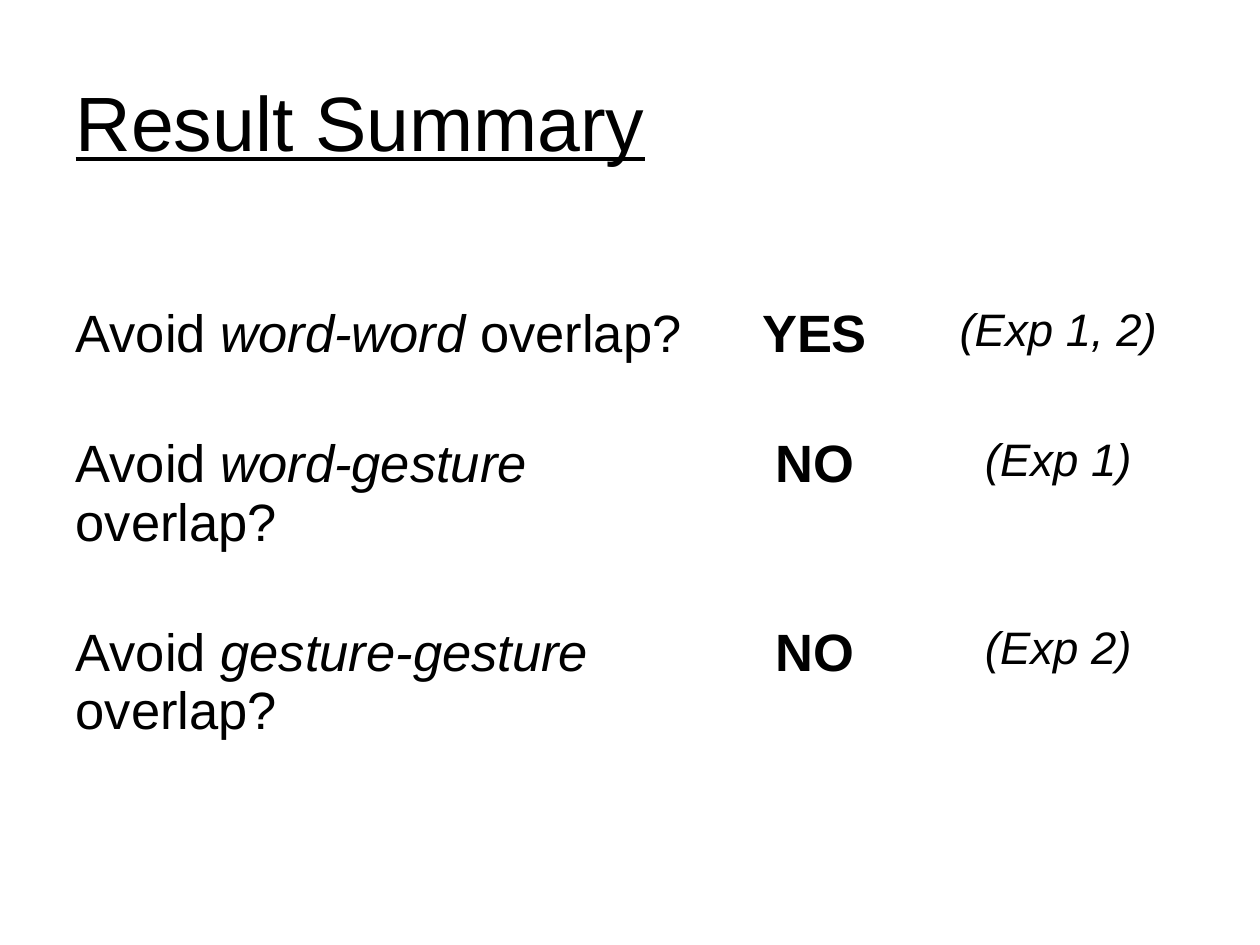
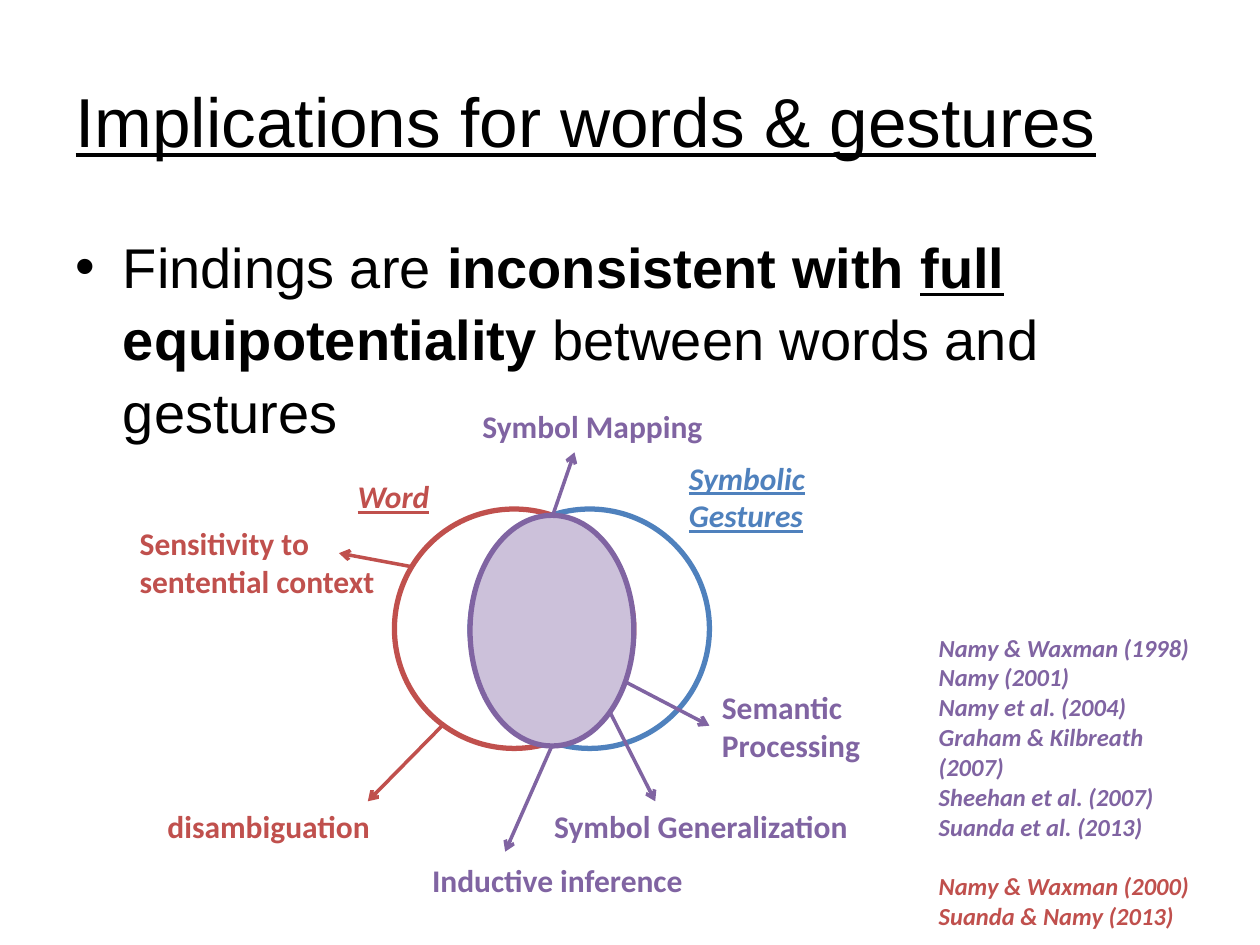
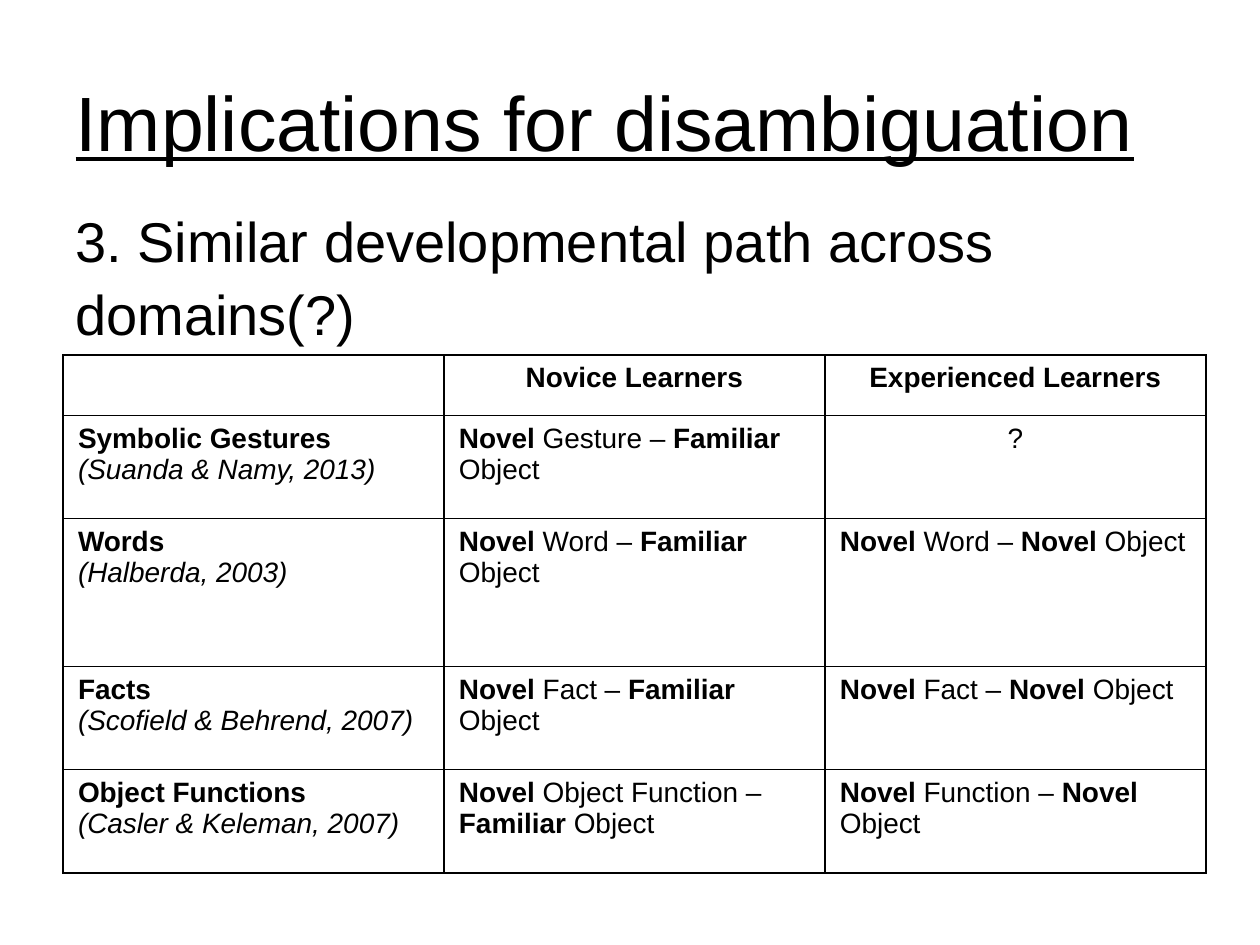
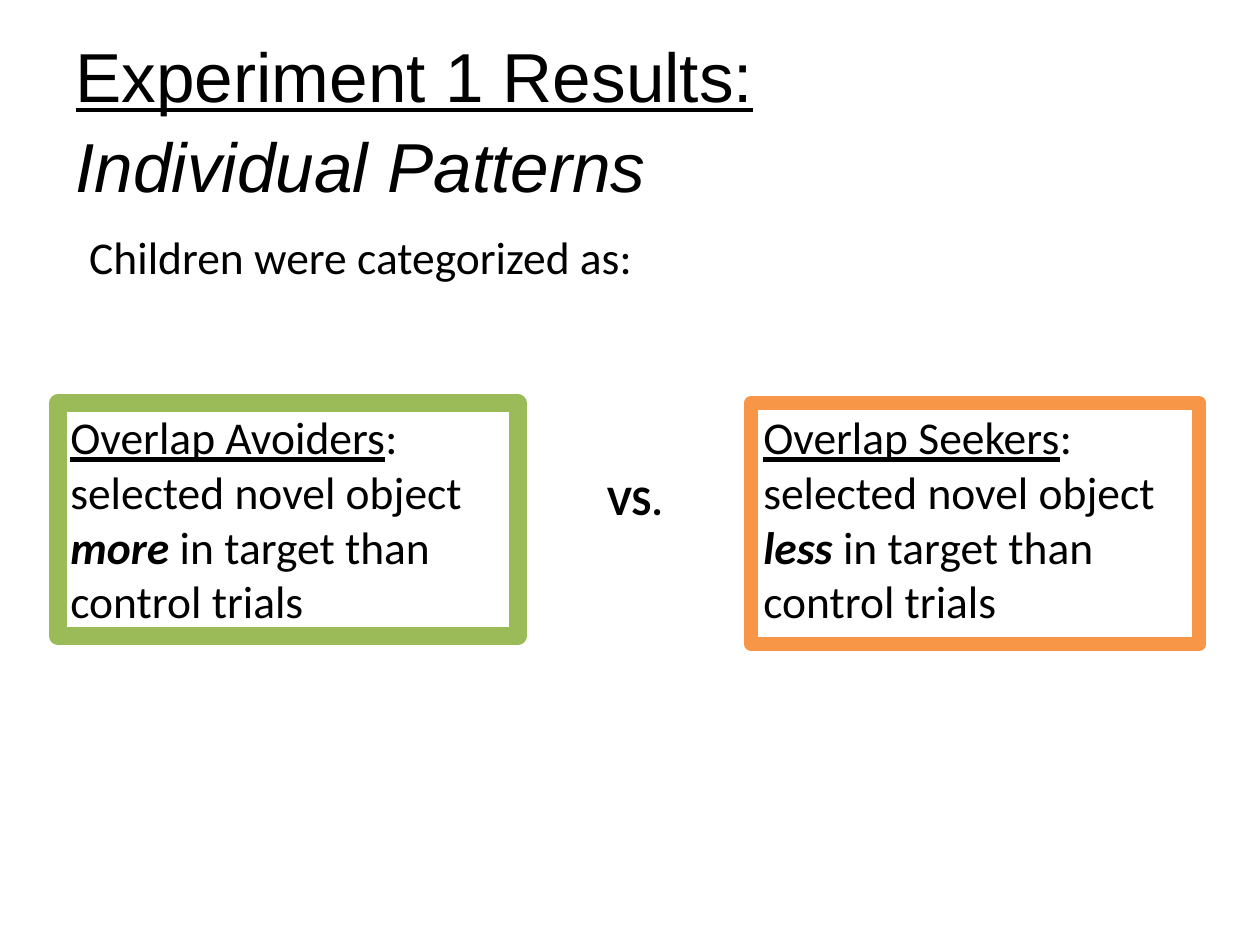
from lxml import etree
from pptx import Presentation
from pptx.dml.color import RGBColor
from pptx.enum import shapes, text
from pptx.oxml import ns
from pptx.util import Pt

BLACK = RGBColor(0x00, 0x00, 0x00)
RED = RGBColor(0xC0, 0x50, 0x4D)
BLUE = RGBColor(0x4F, 0x81, 0xBD)
PURPLE = RGBColor(0x80, 0x64, 0xA2)
LILAC = RGBColor(0xCC, 0xC1, 0xDA)
GREEN = RGBColor(0x9B, 0xBB, 0x59)
ORANGE = RGBColor(0xF7, 0x96, 0x46)

HEADING_FONT, LABEL_FONT = "Arial", "Calibri"
LEFT, CENTER = text.PP_ALIGN.LEFT, text.PP_ALIGN.CENTER
TITLE_BOX = (36, 21.6, 648, 90)
LOOSE = 1.08


def fill_paragraph(para, spans, font, size, color=BLACK, align=LEFT, spacing=None):
    """Write (text, marks) spans; marks are any of b, i and u."""
    para.alignment = align
    para.space_before = Pt(0)
    if spacing:
        para.line_spacing = spacing
    for words, marks in spans:
        if words == "\n":
            para.add_line_break()
            continue
        span = para.add_run()
        span.text = words
        span.font.name, span.font.size = font, Pt(size)
        span.font.color.rgb = color
        span.font.bold = "b" in marks
        span.font.italic = "i" in marks
        span.font.underline = "u" in marks


def place(shape, box):
    """Move a shape to a box given in points."""
    shape.left, shape.top, shape.width, shape.height = map(Pt, box)


def add_text(parent, box, spans, font, size, **style):
    """Add a wrapping text box with one paragraph."""
    shape = parent.add_textbox(*map(Pt, box))
    shape.text_frame.word_wrap = True
    fill_paragraph(shape.text_frame.paragraphs[0], spans, font, size, **style)
    return shape


def add_page(deck, layout, title, size=44):
    """Add a slide with the shared title style."""
    page = deck.slides.add_slide(deck.slide_layouts[layout])
    place(page.shapes.title, TITLE_BOX)
    frame = page.shapes.title.text_frame
    frame.vertical_anchor = text.MSO_ANCHOR.MIDDLE
    fill_paragraph(frame.paragraphs[0], title, HEADING_FONT, size, spacing=LOOSE)
    return page


def add_plain_table(page, box, widths, heights):
    """Add an unfilled table without header or band styling."""
    table = page.shapes.add_table(len(heights), len(widths), *map(Pt, box)).table
    table.first_row = table.horz_banding = False
    for column, width in zip(table.columns, widths):
        column.width = Pt(width)
    for row, height in zip(table.rows, heights):
        row.height = Pt(height)
    for cell in table.iter_cells():
        cell.fill.background()
    return table


def draw_borders(cell):
    """Give a cell thin black borders on all sides."""
    properties = cell._tc.get_or_add_tcPr()
    for index, side in enumerate(("lnL", "lnR", "lnT", "lnB")):
        line = etree.Element(ns.qn("a:" + side), w=str(Pt(1)))
        fill = etree.SubElement(line, ns.qn("a:solidFill"))
        etree.SubElement(fill, ns.qn("a:srgbClr"), val=str(BLACK))
        properties.insert(index, line)


def add_arrow(parent, origin, start, end, color):
    """Draw an open-headed arrow between two points relative to the origin."""
    left, top = origin
    arrow = parent.add_connector(
        shapes.MSO_CONNECTOR.STRAIGHT,
        Pt(left + start[0]), Pt(top + start[1]), Pt(left + end[0]), Pt(top + end[1]))
    arrow.line.color.rgb, arrow.line.width = color, Pt(2)
    etree.SubElement(arrow.line._get_or_add_ln(), ns.qn("a:tailEnd"), type="arrow")
    etree.SubElement(arrow._element.spPr, ns.qn("a:effectLst"))


def add_ellipse(parent, box, color, fill=None):
    """Draw an outlined ellipse, filled if a fill colour is given."""
    ellipse = parent.add_shape(shapes.MSO_SHAPE.OVAL, *map(Pt, box))
    ellipse.shadow.inherit = False
    ellipse.line.color.rgb, ellipse.line.width = color, Pt(3)
    if fill is None:
        ellipse.fill.background()
    else:
        ellipse.fill.solid()
        ellipse.fill.fore_color.rgb = fill


def add_overlap_diagram(page, origin):
    """Draw the two overlapping domains with their labelled arrows."""
    left, top = origin
    group = page.shapes.add_group_shape().shapes
    circle_top, circle = 62.9, 136.8
    for circle_left, color in ((153.4, RED), (196.6, BLUE)):
        add_ellipse(group, (left + circle_left, top + circle_top, circle, circle), color)
    add_ellipse(group, (left + 196.6, top + 66.5, 93.6, 131.8), PURPLE, LILAC)

    arrows = [
        ((244.1, 65.8), (256.3, 30.5), PURPLE),
        ((276.5, 178.8), (302.4, 229.9), PURPLE),
        ((243.4, 198.2), (216.7, 258.7), PURPLE),
        ((285.1, 161.5), (333.4, 186.7), PURPLE),
        ((164.2, 96), (121.7, 88.1), RED),
        ((180.7, 186.7), (138.2, 229.9), RED),
    ]
    for start, end, color in arrows:
        add_arrow(group, origin, start, end, color)

    one_line, two_lines = 28.8, 51.1
    labels = [
        ("Word", "biu", RED, (125.3, 41.3, 91.4, one_line)),
        ("Symbolic Gestures", "biu", BLUE, (314.6, 30.5, 90.7, two_lines)),
        ("disambiguation", "b", RED, (16.6, 229.9, 164.9, one_line)),
        ("Sensitivity to sentential context", "b", RED, (0.7, 67.9, 180.7, two_lines)),
        ("Symbol Mapping", "b", PURPLE, (196.6, 1, 153.4, one_line)),
        ("Inductive inference", "b", PURPLE, (167.8, 260.2, 195.8, one_line)),
        ("Symbol Generalization", "b", PURPLE, (237.6, 229.9, 195.8, one_line)),
        ("Semantic Processing", "b", PURPLE, (333.4, 161.5, 100.1, two_lines)),
    ]
    for words, marks, color, (x, y, width, height) in labels:
        add_text(group, (left + x, top + y, width, height), [(words, marks)],
                 LABEL_FONT, 18, color=color)


def add_references(page, box):
    """List the supporting studies, shared findings first."""
    studies = [
        (PURPLE, ["Namy & Waxman (1998)", "Namy (2001)", "Namy et al. (2004)",
                  "Graham & Kilbreath (2007)", "Sheehan et al. (2007)",
                  "Suanda et al. (2013)"]),
        (RED, ["Namy & Waxman (2000)", "Suanda & Namy (2013)"]),
    ]
    frame = add_plain_table(page, box, [box[2]], [box[3]]).cell(0, 0).text_frame
    para = frame.paragraphs[0]
    for color, names in studies:
        for name in names:
            if para.runs:
                para = frame.add_paragraph()
            fill_paragraph(para, [(name, "bi")], LABEL_FONT, 14, color=color)
            if color == RED and name == names[0]:
                para.space_before = Pt(17)


def add_answers(page, box):
    """Lay out the overlap questions with answers and experiments."""
    answers = [
        ("word-word", "YES", "(Exp 1, 2)"),
        ("word-gesture", "NO", "(Exp 1)"),
        ("gesture-gesture", "NO", "(Exp 2)"),
    ]
    table = add_plain_table(page, box, (369.4, 120.2, 158.4), (74.4, 107.8, 91.4))
    for row, (pair, answer, source) in enumerate(answers):
        question = [("Avoid ", ""), (pair, "i"), (" overlap?", "")]
        cells = [(question, 30, LEFT), ([(answer, "b")], 30, CENTER),
                 ([(source, "i")], 26, CENTER)]
        for column, (spans, size, align) in enumerate(cells):
            para = table.cell(row, column).text_frame.paragraphs[0]
            fill_paragraph(para, spans, HEADING_FONT, size, align=align)


def pairing(item, match):
    """Return the spans for a novel item matched with a kind of object."""
    return [("Novel", "b"), (f" {item} – ", ""), (match, "b"), (" Object", "")]


def add_learner_table(page, box):
    """Compare novice and experienced learners across domains."""
    domains = [
        ("Symbolic Gestures", "(Suanda & Namy, 2013)", "Gesture", None),
        ("Words", "(Halberda, 2003)", "Word", "Word"),
        ("Facts", "(Scofield & Behrend, 2007)", "Fact", "Fact"),
        ("Object Functions", "(Casler & Keleman, 2007)", "Object Function", "Function"),
    ]
    rows = [([], [[("Novice Learners", "b")]], [[("Experienced Learners", "b")]])]
    for domain, study, novice, experienced in domains:
        last = pairing(experienced, "Novel") if experienced else [("?", "")]
        rows.append(([[(domain, "b")], [(study, "i")]],
                     [pairing(novice, "Familiar")], [last]))

    table = add_plain_table(page, box, [box[2] / 3] * 3, (34.4, 59, 84.4, 59, 59))
    for row, cells in enumerate(rows):
        for column, lines in enumerate(cells):
            cell = table.cell(row, column)
            cell.margin_left = cell.margin_right = Pt(8.6)
            cell.margin_top = cell.margin_bottom = Pt(4.3)
            draw_borders(cell)
            for index, spans in enumerate(lines):
                frame = cell.text_frame
                para = frame.add_paragraph() if index else frame.paragraphs[0]
                centered = row == 0 or spans[0][0] == "?"
                fill_paragraph(para, spans, HEADING_FONT, 16,
                               align=CENTER if centered else LEFT)


def add_group_card(page, box, name, degree, color, weight):
    """Describe one group of children in a framed box."""
    spans = [(name, "u"), (": selected novel object ", ""), (degree, "bi"),
             (" in target than control trials", "")]
    card = add_text(page.shapes, box, spans, LABEL_FONT, 26)
    card.line.color.rgb, card.line.width = color, Pt(weight)


def build_summary(deck):
    """Build the result summary slide."""
    page = add_page(deck, 5, [("Result Summary", "u")])
    add_answers(page, (36, 170.6, 648, 273.6))


def build_word_gesture(deck):
    """Build the slide on words and gestures."""
    page = add_page(deck, 1, [("Implications for words & gestures", "u")], 39.6)
    body = page.placeholders[1]
    place(body, (36, 126, 648, 356.4))
    spans = [("Findings are ", ""), ("inconsistent with ", "b"), ("full", "bu"),
             (" equipotentiality", "b"), (" between words and gestures", "")]
    fill_paragraph(body.text_frame.paragraphs[0], spans, HEADING_FONT, 32, spacing=LOOSE)
    add_references(page, (529.2, 358.6, 171.4, 158.4))
    add_overlap_diagram(page, (72, 228))


def build_disambiguation(deck):
    """Build the slide on disambiguation across domains."""
    page = add_page(deck, 5, [("Implications for disambiguation", "u")])
    add_learner_table(page, (36, 203, 653.1, 295.8))
    add_text(page.shapes, (36, 111.6, 648, 85),
             [("3. Similar developmental path across domains(?)", "")],
             HEADING_FONT, 32, spacing=LOOSE)


def build_patterns(deck):
    """Build the slide on individual patterns."""
    title = [("Experiment 1 Results:", "u"), ("\n", ""), ("Individual Patterns", "i")]
    page = add_page(deck, 5, title, 39.6)
    add_group_card(page, (33.1, 230.4, 262.8, 133.2), "Overlap Avoiders", "more", GREEN, 10)
    add_group_card(page, (429.1, 230.4, 256.3, 137.5), "Overlap Seekers", "less", ORANGE, 8)
    add_text(page.shapes, (328.3, 267.1, 69.1, 36), [("VS.", "b")],
             LABEL_FONT, 24, align=CENTER)
    add_text(page.shapes, (43.9, 127.4, 465.8, 38.9),
             [("Children were categorized as:", "")], LABEL_FONT, 26)


def main():
    """Build and save the deck."""
    deck = Presentation()
    deck.slide_width, deck.slide_height = Pt(720), Pt(540)
    for build in (build_summary, build_word_gesture, build_disambiguation, build_patterns):
        build(deck)
    deck.save("out.pptx")


if __name__ == "__main__":
    main()
